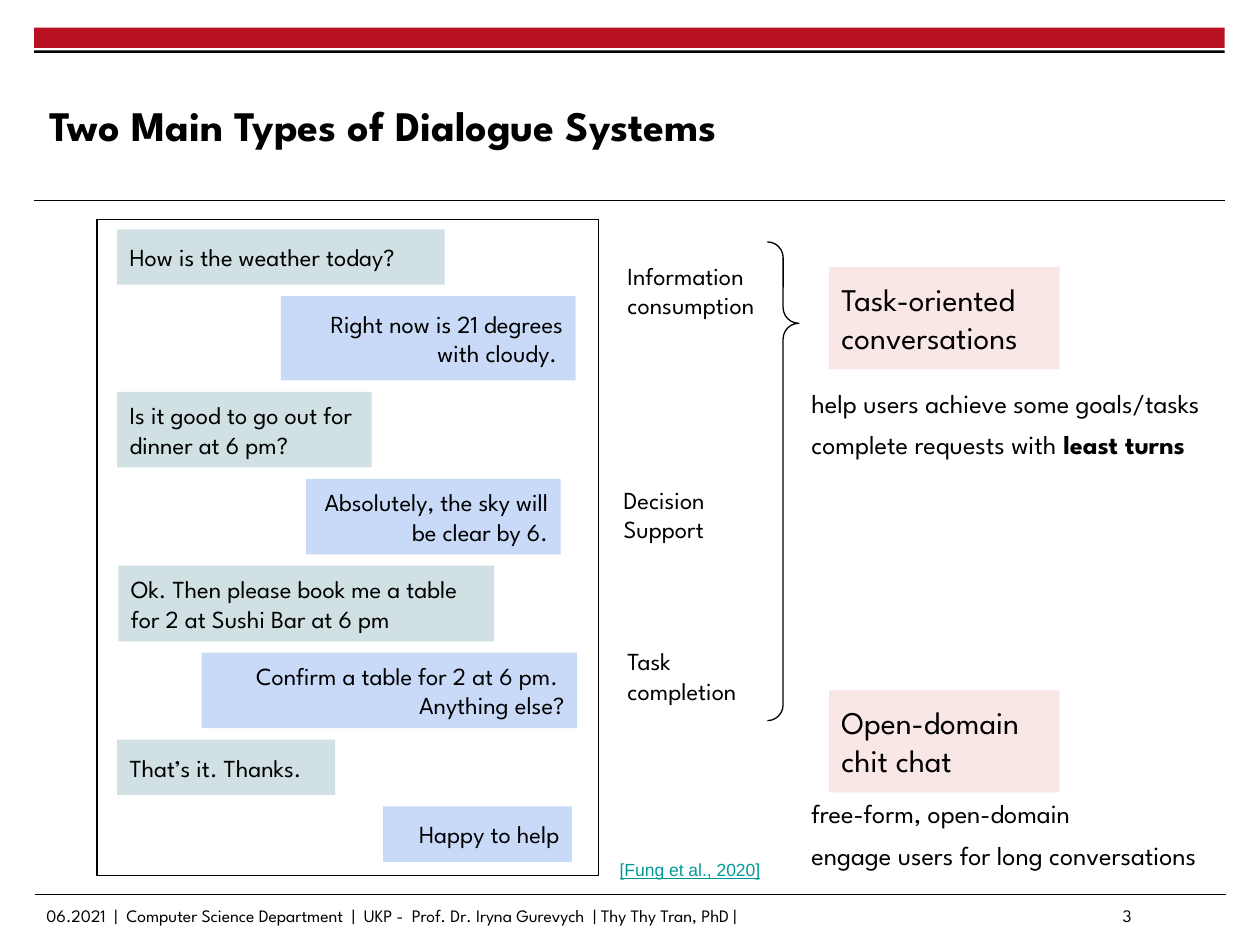
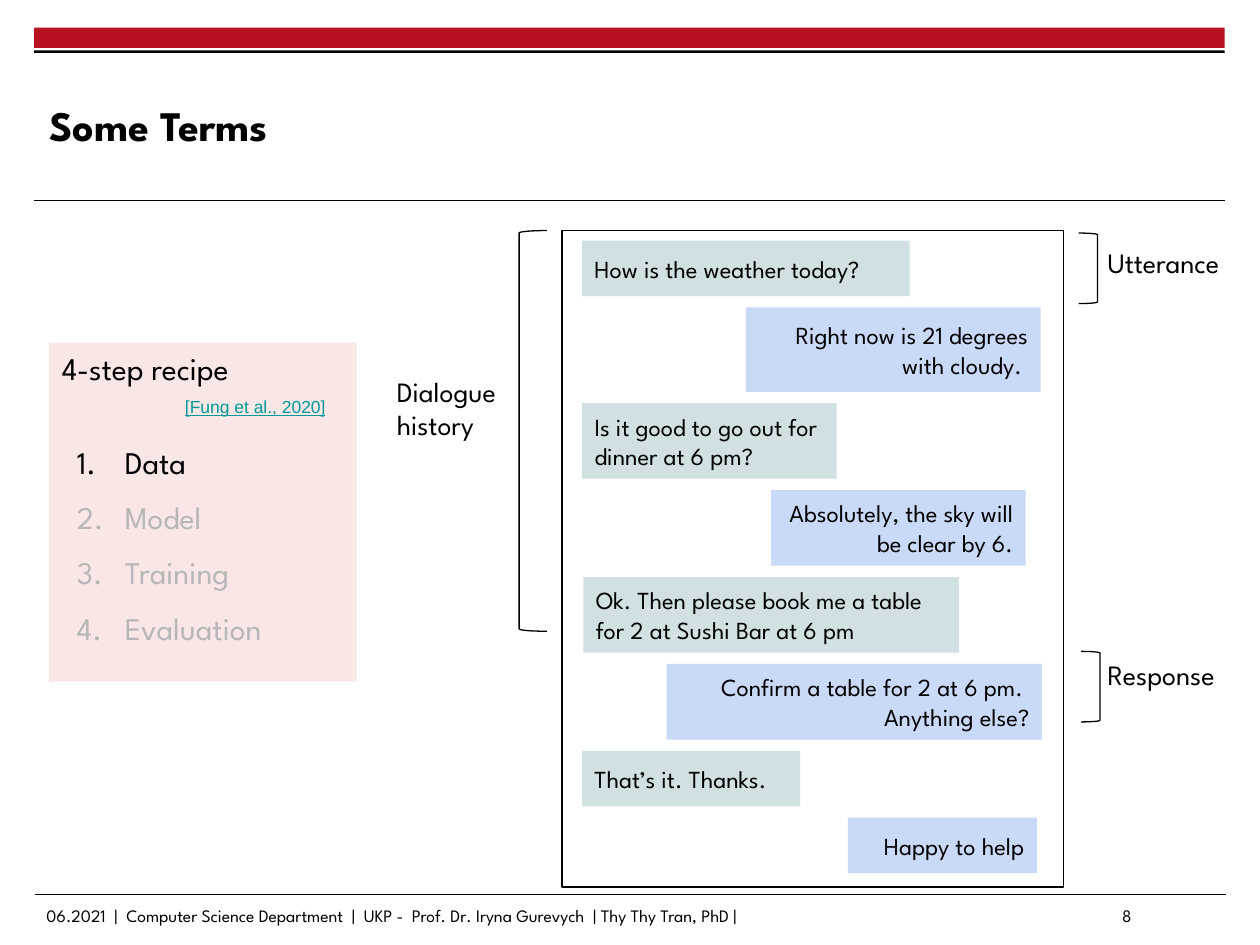
"""Build two slides on dialogue systems: the main types and some terms."""
from lxml import etree
from pptx import Presentation
from pptx.dml.color import RGBColor
from pptx.enum.shapes import MSO_CONNECTOR as CONN, MSO_SHAPE as SHAPE
from pptx.enum.text import MSO_ANCHOR as ANCHOR, MSO_AUTO_SIZE as FIT, PP_ALIGN as ALIGN
from pptx.oxml.ns import qn
from pptx.util import Emu, Pt

PX = 9144
BLACK = RGBColor(0x00, 0x00, 0x00)
RED = RGBColor(0xB9, 0x10, 0x22)
TEAL = RGBColor(0x00, 0x99, 0x99)
GREY = RGBColor(0xB7, 0xB7, 0xB7)
USER = RGBColor(0xD0, 0xE0, 0xE3)
SYSTEM = RGBColor(0xC9, 0xDA, 0xF8)
PINK = RGBColor(0xF8, 0xE7, 0xE5)
FONT = "League Spartan"
FOOTER = ("06.2021  |  Computer Science Department  |  UKP -  "
          "Prof. Dr. Iryna Gurevych  | Thy Thy Tran, PhD |")
CITATION = "[Fung et al., 2020]"
GAP = 9
CHAT = [
    (16, 260, 44, ["How is the weather today?"]),
    (146, 234, 67, ["Right now is 21 degrees with cloudy. "]),
    (16, 202, 60, ["Is it good to go out for dinner at 6 pm?"]),
    (166, 202, 60, ["Absolutely, the sky will be clear by 6."]),
    (17, 298, 60, ["Ok. Then please book me a table for 2 at Sushi Bar at 6 pm"]),
    (83, 298, 60, ["Confirm a table for 2 at 6 pm. ", "Anything else?"]),
    (16, 173, 44, ["That’s it. Thanks."]),
    (227, 150, 44, ["Happy to help"]),
]


def px(*lengths):
    return [Emu(n * PX) for n in lengths]


def apply(obj, **fmt):
    for name, value in fmt.items():
        setattr(obj, name, value)


class Deck:
    """Holds the shared style and the current slide."""

    def __init__(self):
        self.prs = Presentation()
        apply(self.prs, **dict(zip(("slide_width", "slide_height"), px(1000, 750))))

    def slide(self, title, number):
        self.s = self.prs.slides.add_slide(self.prs.slide_layouts[4])
        self.bodies = iter([ph for ph in self.s.placeholders if ph.placeholder_format.idx])
        self.shape(SHAPE.RECTANGLE, (27, 22, 945, 16), RED)
        self.shape(SHAPE.RECTANGLE, (27, 40, 945, 2), BLACK)
        self.rule(27, 159)
        self.rule(28, 710)
        self.box((27, 713, 795, 27), [FOOTER], 10, inset=5)
        self.box((806, 708, 102, 37), [str(number)], 10, align=ALIGN.RIGHT)
        self.place(self.s.shapes.title, (39, 53, 752, 92))
        self.text(self.s.shapes.title, [title], 24, anchor=ANCHOR.MIDDLE,
                  inset=0, side=0, bold=True)

    def rule(self, x, y):
        line = self.s.shapes.add_connector(CONN.STRAIGHT, *px(x, y, x + 945, y))
        self.outline(line)
        etree.SubElement(line._element.spPr, qn("a:effectLst"))

    def outline(self, shape):
        shape.line.color.rgb = BLACK
        shape.line.width = Pt(0.75)

    def place(self, shape, at):
        apply(shape, **dict(zip(("left", "top", "width", "height"), px(*at))))

    def shape(self, kind, at, fill=None, parent=None):
        sp = (parent or self.s).shapes.add_shape(kind, *px(*at))
        sp.shadow.inherit = False
        if fill is None:
            sp.fill.background()
            self.outline(sp)
        else:
            sp.fill.solid()
            sp.fill.fore_color.rgb = fill
            sp.line.fill.background()
        return sp

    def text(self, shape, paras, size, align=ALIGN.LEFT, anchor=ANCHOR.TOP, before=0,
             inset=10, side=10, color=BLACK, **font):
        tf = shape.text_frame
        margins = dict(zip(("margin_left", "margin_top", "margin_right", "margin_bottom"),
                           px(side, inset, side, inset)))
        apply(tf, word_wrap=True, auto_size=FIT.NONE, vertical_anchor=anchor, **margins)
        for i, runs in enumerate(paras):
            p = tf.add_paragraph() if i else tf.paragraphs[0]
            apply(p, alignment=align, space_before=Pt(before), space_after=Pt(0))
            for words, bold in [(runs, False)] if isinstance(runs, str) else runs:
                r = p.add_run()
                r.text = words
                apply(r.font, **{"name": FONT, "size": Pt(size), "bold": bold, **font})
                r.font.color.rgb = color

    def box(self, at, paras, size, **fmt):
        self.text(self.s.shapes.add_textbox(*px(*at)), paras, size, **fmt)

    def body(self, at, paras, size):
        ph = next(self.bodies)
        self.place(ph, at)
        self.text(ph, paras, size, before=5.6, inset=5)
        for p in ph.text_frame.paragraphs:
            pPr = p._p.get_or_add_pPr()
            pPr.set("marL", "0")
            pPr.set("indent", "0")
            etree.SubElement(pPr, qn("a:buNone"))
        return ph

    def number(self, p, color):
        pPr = p._p.get_or_add_pPr()
        pPr.remove(pPr.find(qn("a:buNone")))
        pPr.set("marL", str(50 * PX))
        pPr.set("indent", str(-38 * PX))
        clr = etree.SubElement(pPr, qn("a:buClr"))
        etree.SubElement(clr, qn("a:srgbClr"), val=str(color))
        etree.SubElement(pPr, qn("a:buFont"), typeface=FONT)
        etree.SubElement(pPr, qn("a:buAutoNum"), type="arabicPeriod")
        p.runs[0].font.color.rgb = color

    def card(self, y, label):
        sp = self.shape(SHAPE.RECTANGLE, (658, y, 183, 81), PINK)
        self.text(sp, [label], 18, before=5.6)

    def citation(self, x, y):
        self.box((x, y, 133, 37), [CITATION], 10, color=TEAL, name="Arial", underline=True)

    def chat(self, left, top):
        group = self.s.shapes.add_group_shape()
        self.shape(SHAPE.RECTANGLE, (left, top, 398, 521), parent=group)
        y = top + 8
        for i, (x, width, height, paras) in enumerate(CHAT):
            fill, align = ((USER, ALIGN.LEFT), (SYSTEM, ALIGN.RIGHT))[i % 2]
            sp = self.shape(SHAPE.RECTANGLE, (left + x, y, width, height), fill, group)
            self.text(sp, paras, 14, align=align, anchor=ANCHOR.MIDDLE)
            y += height + GAP


def types_slide(deck):
    deck.slide("Two Main Types of Dialogue Systems", 3)
    deck.chat(77, 174)
    deck.body((488, 202, 133, 64), ["Information consumption"], 14)
    deck.box((485, 375, 139, 67), ["Decision Support"], 14, before=5.6)
    deck.body((488, 508, 121, 64), ["Task completion"], 14)
    brace = deck.shape(SHAPE.RIGHT_BRACE, (609, 192, 25, 380))
    brace.adjustments[0], brace.adjustments[1] = 0.5, 0.17
    deck.card(212, "Task-oriented conversations")
    deck.card(548, "Open-domain chit chat")
    deck.body((634, 302, 364, 81), [
        "help users achieve some goals/tasks",
        [("complete requests with ", False), ("least turns", True)]], 15)
    deck.body((634, 628, 364, 81), [
        "free-form, open-domain", "engage users for long conversations"], 15)
    deck.citation(482, 672)


def terms_slide(deck):
    deck.slide("Some Terms", 8)
    deck.chat(446, 183)
    deck.body((869, 190, 137, 46), ["Utterance"], 16)
    deck.body((305, 292, 119, 67), ["Dialogue history"], 16)
    deck.body((869, 517, 137, 46), ["Response"], 16)
    deck.shape(SHAPE.RIGHT_BRACKET, (856, 185, 15, 56))
    deck.shape(SHAPE.RIGHT_BRACKET, (858, 517, 15, 56))
    deck.shape(SHAPE.LEFT_BRACKET, (412, 183, 22, 318))
    recipe = deck.body((39, 272, 244, 269),
                       ["4-step recipe", "Data", "Model", "Training", "Evaluation"], 18)
    recipe.fill.solid()
    recipe.fill.fore_color.rgb = PINK
    for i, p in enumerate(recipe.text_frame.paragraphs[1:]):
        p.space_before = Pt(10 if i else 32)
        deck.number(p, GREY if i else BLACK)
    deck.citation(137, 304)


def main():
    deck = Deck()
    types_slide(deck)
    terms_slide(deck)
    deck.prs.save("out.pptx")


if __name__ == "__main__":
    main()
